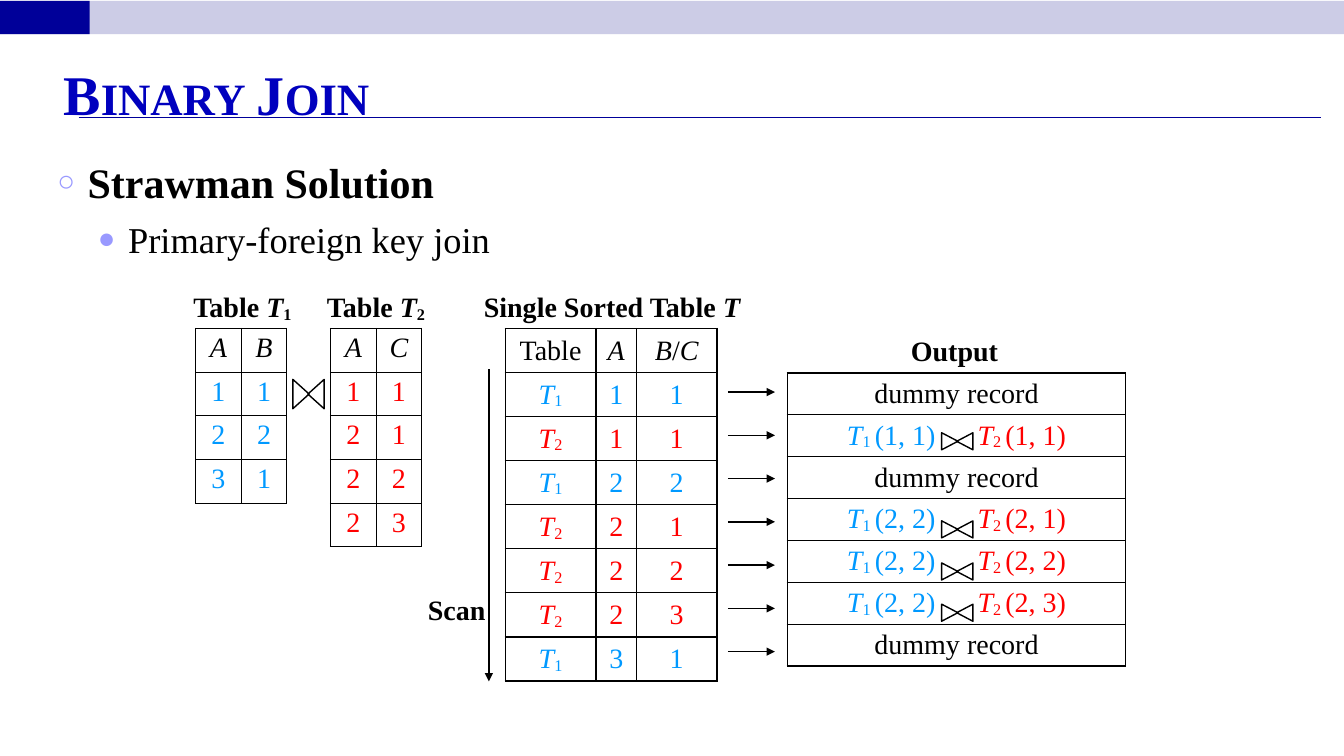
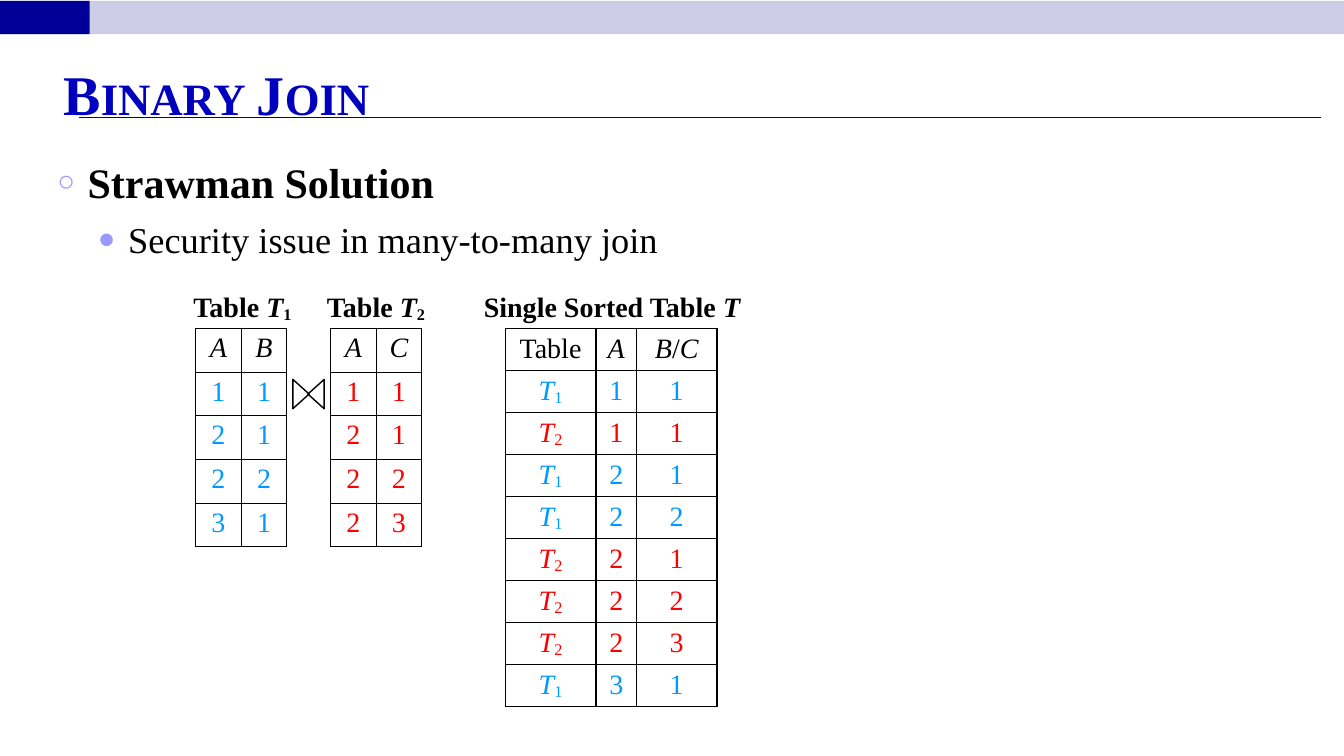
"""Build two slides on the strawman solution for a binary join."""
from lxml import etree
from pptx import Presentation
from pptx.dml.color import RGBColor
from pptx.enum.shapes import MSO_CONNECTOR, MSO_SHAPE
from pptx.enum.text import MSO_ANCHOR, PP_ALIGN
from pptx.oxml.ns import qn
from pptx.util import Cm, Pt

STRAIGHT = MSO_CONNECTOR.STRAIGHT
RECTANGLE = MSO_SHAPE.RECTANGLE
TRIANGLE = MSO_SHAPE.ISOSCELES_TRIANGLE
TOP, MIDDLE, BOTTOM = MSO_ANCHOR.TOP, MSO_ANCHOR.MIDDLE, MSO_ANCHOR.BOTTOM
LEFT, CENTER = PP_ALIGN.LEFT, PP_ALIGN.CENTER

COLORS = {
    "band": "CCCCE6",
    "accent": "000099",
    "title": "0000BE",
    "bullet": "9999FF",
    "text": "000000",
    "first": "0099FF",
    "second": "FF0000",
}
TABLE_COLORS = {1: "first", 2: "second"}
FONT = "Times New Roman"
BASE_FORMAT = {"name": FONT, "size": Pt(20), "bold": False, "italic": False}
TITLE_FORMAT = {"size": Pt(40), "bold": True, "color": "title", "cap": "small"}
XML_FORMATS = ("baseline", "cap", "spc")
BULLETS = (
    {"char": "○", "scale": 70, "indent": 0.76, "before": 0,
     "format": {"size": Pt(30), "bold": True}},
    {"char": "●", "scale": 80, "indent": 1.78, "before": 7,
     "format": {"size": Pt(26)}},
)
HANGING = 0.76
SLIDE_WIDTH, SLIDE_HEIGHT = 33.87, 19.05
TABLE_TOP, LABEL_TOP = 8.28, 7.18
SORTED_COLUMNS = (2.29, 1.02, 2.03)
PAIR_COLUMNS = (1.15, 1.15)
PAIR_ROW = 1.1


def color(key):
    return RGBColor.from_string(COLORS[key])


def add_child(parent, tag, **attributes):
    return etree.SubElement(parent, qn(tag), attributes)


def add_runs(paragraph, runs, alignment=CENTER):
    paragraph.alignment = alignment
    for text, changes in runs:
        run = paragraph.add_run()
        run.text = text
        values = {**BASE_FORMAT, **changes}
        run.font.color.rgb = color(values.pop("color", "text"))
        for key, value in values.items():
            if key in XML_FORMATS:
                run.font._element.set(key, value)
            else:
                setattr(run.font, key, value)


def table_name(index, suffix="", **changes):
    """Return the runs for a table symbol with its subscript."""
    return [("T", {"italic": True, **changes}),
            (f"{index}{suffix}", {"baseline": "-10000", **changes})]


def add_text_box(slide, left, top, width, height, anchor=TOP):
    box = slide.shapes.add_textbox(Cm(left), Cm(top), Cm(width), Cm(height))
    frame = box.text_frame
    frame.word_wrap = True
    frame.vertical_anchor = anchor
    return frame


def add_label(slide, left, top, width, runs):
    frame = add_text_box(slide, left, top, width, 1.12)
    bold_runs = [(text, {**changes, "bold": True}) for text, changes in runs]
    add_runs(frame.paragraphs[0], bold_runs)


def add_line(slide, start, end, line_color="text", width=1, arrow=False):
    line = slide.shapes.add_connector(
        STRAIGHT, *(Cm(value) for value in (*start, *end)))
    line.line.color.rgb = color(line_color)
    line.line.width = Pt(width)
    if arrow:
        add_child(line.line._get_or_add_ln(), "a:tailEnd", type="triangle")
    add_child(line._element.spPr, "a:effectLst")


def add_band(slide, width, fill):
    band = slide.shapes.add_shape(RECTANGLE, 0, Cm(0.02), Cm(width), Cm(0.84))
    band.shadow.inherit = False
    band.fill.solid()
    band.fill.fore_color.rgb = color(fill)
    band.line.fill.background()


def add_bowtie(slide, left, middle, height):
    """Draw the join symbol as two triangles that point at each other."""
    depth, step = 0.41, 0.38
    group = slide.shapes.add_group_shape()
    for index, rotation in enumerate((90, 270)):
        center = left + depth / 2 + index * step
        triangle = group.shapes.add_shape(
            TRIANGLE, Cm(center - height / 2), Cm(middle - depth / 2),
            Cm(height), Cm(depth))
        triangle.rotation = rotation
        triangle.shadow.inherit = False
        triangle.fill.background()
        triangle.line.color.rgb = color("text")
        triangle.line.width = Pt(1)


def add_borders(cell):
    properties = cell._tc.get_or_add_tcPr()
    for side in ("a:lnL", "a:lnR", "a:lnT", "a:lnB"):
        line = add_child(properties, side, w=str(Pt(1)))
        fill = add_child(line, "a:solidFill")
        add_child(fill, "a:srgbClr", val=COLORS["text"])


def add_grid(slide, left, top, columns, row_height, rows, anchor=MIDDLE):
    """Add a table whose cells are lists of runs."""
    frame = slide.shapes.add_table(
        len(rows), len(columns), Cm(left), Cm(top),
        Cm(sum(columns)), Cm(row_height * len(rows)))
    table = frame.table
    table.first_row = table.horz_banding = False
    for column, width in zip(table.columns, columns):
        column.width = Cm(width)
    cell_format = {"vertical_anchor": anchor}
    for side in ("left", "right", "top", "bottom"):
        cell_format[f"margin_{side}"] = Cm(0.1)
    for row, contents in zip(table.rows, rows):
        row.height = Cm(row_height)
        for cell, runs in zip(row.cells, contents):
            for key, value in cell_format.items():
                setattr(cell, key, value)
            add_borders(cell)
            cell.fill.background()
            add_runs(cell.text_frame.paragraphs[0], runs)


def add_bullets(slide, texts):
    frame = add_text_box(slide, 1.2, 3.82, 30.4, 13.9)
    for level, (text, style) in enumerate(zip(texts, BULLETS)):
        paragraph = frame.add_paragraph() if level else frame.paragraphs[0]
        paragraph.level = level
        if level:
            paragraph.space_before = Pt(style["before"])
        properties = paragraph._p.get_or_add_pPr()
        properties.set("marL", str(Cm(style["indent"])))
        properties.set("indent", str(-Cm(HANGING)))
        bullet_color = add_child(properties, "a:buClr")
        add_child(bullet_color, "a:srgbClr", val=COLORS["bullet"])
        add_child(properties, "a:buSzPct", val=str(style["scale"] * 1000))
        add_child(properties, "a:buFont", typeface=FONT)
        add_child(properties, "a:buChar", char=style["char"])
        add_runs(paragraph, [(text, style["format"])], LEFT)


def add_pair_table(slide, index, left, label_left, label_width, value_name, pairs):
    changes = {"color": TABLE_COLORS[index]}
    header = [[(name, {"italic": True})] for name in ("A", value_name)]
    rows = [[[(str(value), changes)] for value in pair] for pair in pairs]
    add_grid(slide, left, TABLE_TOP, PAIR_COLUMNS, PAIR_ROW, [header] + rows, TOP)
    add_label(slide, label_left, LABEL_TOP, label_width,
              [("Table ", {})] + table_name(index))


def sort_records(first, second):
    """Merge both tables, ordered by key, then table, then value."""
    records = [(key, index, value)
               for index, pairs in ((1, first), (2, second))
               for key, value in pairs]
    return sorted(records)


def add_sorted_table(slide, records, row_height):
    italic = {"italic": True}
    rows = [[[("Table", {})], [("A", italic)],
             [("B", italic), ("/", {}), ("C", italic)]]]
    for key, index, value in records:
        changes = {"color": TABLE_COLORS[index]}
        rows.append([table_name(index, **changes),
                     [(str(key), changes)], [(str(value), changes)]])
    add_grid(slide, 12.73, TABLE_TOP, SORTED_COLUMNS, row_height, rows)
    add_label(slide, 11.73, LABEL_TOP - 0.02, 7.39,
              [("Single Sorted Table ", {}), ("T", italic)])


def record_runs(index, key, value):
    changes = {"color": TABLE_COLORS[index]}
    return table_name(index, " ", **changes) + [(f"({key}, {value})", changes)]


def add_output(slide, first, records):
    """Add the scan arrows and the output row of each sorted record."""
    matches = dict(first)
    rows = []
    for position, (key, index, value) in enumerate(records):
        runs = [("dummy record", {})]
        if index == 2:
            runs = (record_runs(1, key, matches[key]) + [(" ", {"spc": "2500"})]
                    + record_runs(2, key, value))
        rows.append([runs])
        arrow_y = 9.88 + 1.09 * position
        add_line(slide, (18.34, arrow_y), (19.53, arrow_y), arrow=True)
    add_grid(slide, 19.84, 9.4, (8.53,), 1.05, rows)
    add_label(slide, 19.79, 8.28, 8.53, [("Output", {})])
    for middle in (11.12, 13.34, 14.4, 15.44):
        add_bowtie(slide, 23.73, middle, 0.43)
    add_line(slide, (12.32, 9.3), (12.32, 17.17), arrow=True)
    add_label(slide, 10.34, 14.81, 2.34, [("Scan", {})])


def add_join_slide(presentation, topic, first, second, row_height):
    slide = presentation.slides.add_slide(presentation.slide_layouts[6])
    add_band(slide, SLIDE_WIDTH, "band")
    add_band(slide, 2.26, "accent")
    add_line(slide, (1.98, 2.97), (33.3, 2.97), "accent", 0.75)
    title = add_text_box(slide, 1.35, 1.32, 31.12, 1.88, BOTTOM)
    title.margin_bottom = 0
    add_runs(title.paragraphs[0], [("Binary Join", TITLE_FORMAT)], LEFT)
    add_bullets(slide, ("Strawman Solution", topic))
    add_pair_table(slide, 1, 4.93, 4.42, 3.38, "B", first)
    add_pair_table(slide, 2, 8.33, 7.95, 3.05, "C", second)
    add_bowtie(slide, 7.38, 9.93, 0.74)
    records = sort_records(first, second)
    add_sorted_table(slide, records, row_height)
    return slide, records


def main():
    presentation = Presentation()
    presentation.slide_width = Cm(SLIDE_WIDTH)
    presentation.slide_height = Cm(SLIDE_HEIGHT)
    second = [(1, 1), (2, 1), (2, 2), (2, 3)]
    unique_keys = [(1, 1), (2, 2), (3, 1)]
    repeated_keys = [(1, 1), (2, 1), (2, 2), (3, 1)]
    slide, records = add_join_slide(
        presentation, "Primary-foreign key join", unique_keys, second, 1.11)
    add_output(slide, unique_keys, records)
    add_join_slide(presentation, "Security issue in many-to-many join",
                   repeated_keys, second, 1.05)
    presentation.save("out.pptx")


if __name__ == "__main__":
    main()
